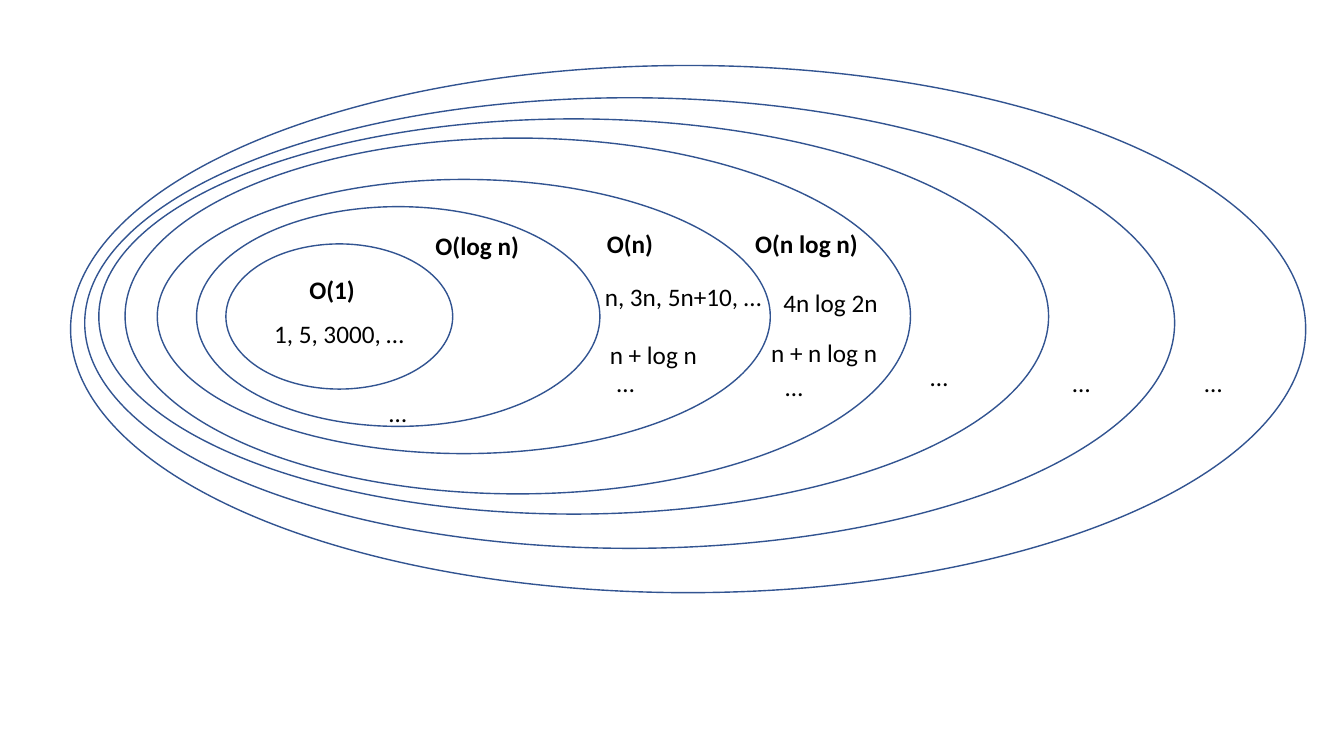
from dataclasses import dataclass

import pptx
import pptx.dml.color
import pptx.enum.shapes
import pptx.enum.text
import pptx.util
from pptx.util import Inches


@dataclass(frozen=True)
class ComplexityClass:
    left: float
    top: float
    width: float
    height: float


@dataclass(frozen=True)
class Label:
    text: str
    left: float
    top: float
    width: float
    bold: bool = False
    wrap: bool = False


LABEL_HEIGHT = 0.4
ELLIPSIS_WIDTH = 0.38

COMPLEXITY_CLASSES = [
    ComplexityClass(1.95, 2.05, 4, 2.18),
    ComplexityClass(2.24, 2.42, 2.25, 1.44),
    ComplexityClass(1.56, 1.78, 6.08, 2.72),
    ComplexityClass(1.24, 1.37, 7.79, 3.53),
    ComplexityClass(0.98, 1.18, 9.42, 3.92),
    ComplexityClass(0.84, 0.97, 10.81, 4.47),
    ComplexityClass(0.7, 0.65, 12.25, 5.23),
]

CLASS_NAMES = [
    Label("O(1)", 2.97, 2.67, 0.66, bold=True),
    Label("O(log n)", 4.22, 2.24, 1.04, bold=True),
    Label("O(n)", 5.92, 2.22, 0.66, bold=True),
    Label("O(n log n)", 7.39, 2.22, 1.23, bold=True),
]

MEMBER_FUNCTIONS = [
    Label("1, 5, 3000, …", 2.62, 3.11, 1.52),
    Label("n, 3n, 5n+10, …", 5.9, 2.74, 1.85),
    Label("n + log n", 5.95, 3.32, 1.08),
    Label("4n log 2n", 7.67, 2.8, 1.15),
    Label("n + n log n", 7.55, 3.3, 1.27),
]

FURTHER_MEMBERS = [
    Label("…", 6.02, 3.59, ELLIPSIS_WIDTH),
    Label("…", 7.69, 3.63, ELLIPSIS_WIDTH),
    Label("…", 9.13, 3.54, ELLIPSIS_WIDTH),
    Label("…", 10.54, 3.59, ELLIPSIS_WIDTH, wrap=True),
    Label("…", 11.85, 3.59, ELLIPSIS_WIDTH),
    Label("…", 3.76, 3.89, ELLIPSIS_WIDTH),
]


def color(hex_code: str) -> pptx.dml.color.RGBColor:
    return pptx.dml.color.RGBColor.from_string(hex_code)


def draw_class(slide: pptx.slide.Slide, item: ComplexityClass) -> None:
    outline = slide.shapes.add_shape(
        pptx.enum.shapes.MSO_SHAPE.OVAL,
        Inches(item.left), Inches(item.top),
        Inches(item.width), Inches(item.height),
    )
    outline.shadow.inherit = False
    outline.fill.background()
    outline.line.color.rgb = color("325491")
    outline.line.width = pptx.util.Pt(1)


def draw_label(slide: pptx.slide.Slide, label: Label) -> None:
    box = slide.shapes.add_textbox(
        Inches(label.left), Inches(label.top),
        Inches(label.width), Inches(LABEL_HEIGHT),
    )
    frame = box.text_frame
    frame.word_wrap = label.wrap
    frame.auto_size = pptx.enum.text.MSO_AUTO_SIZE.SHAPE_TO_FIT_TEXT
    run = frame.paragraphs[0].add_run()
    run.text = label.text
    run.font.name = "Calibri"
    run.font.size = pptx.util.Pt(18)
    run.font.bold = label.bold
    run.font.color.rgb = color("000000")


def main() -> None:
    deck = pptx.Presentation()
    deck.slide_width = Inches(13.33)
    deck.slide_height = Inches(7.5)
    slide = deck.slides.add_slide(deck.slide_layouts[6])
    for item in COMPLEXITY_CLASSES:
        draw_class(slide, item)
    for label in CLASS_NAMES + MEMBER_FUNCTIONS + FURTHER_MEMBERS:
        draw_label(slide, label)
    deck.save("out.pptx")


if __name__ == "__main__":
    main()
